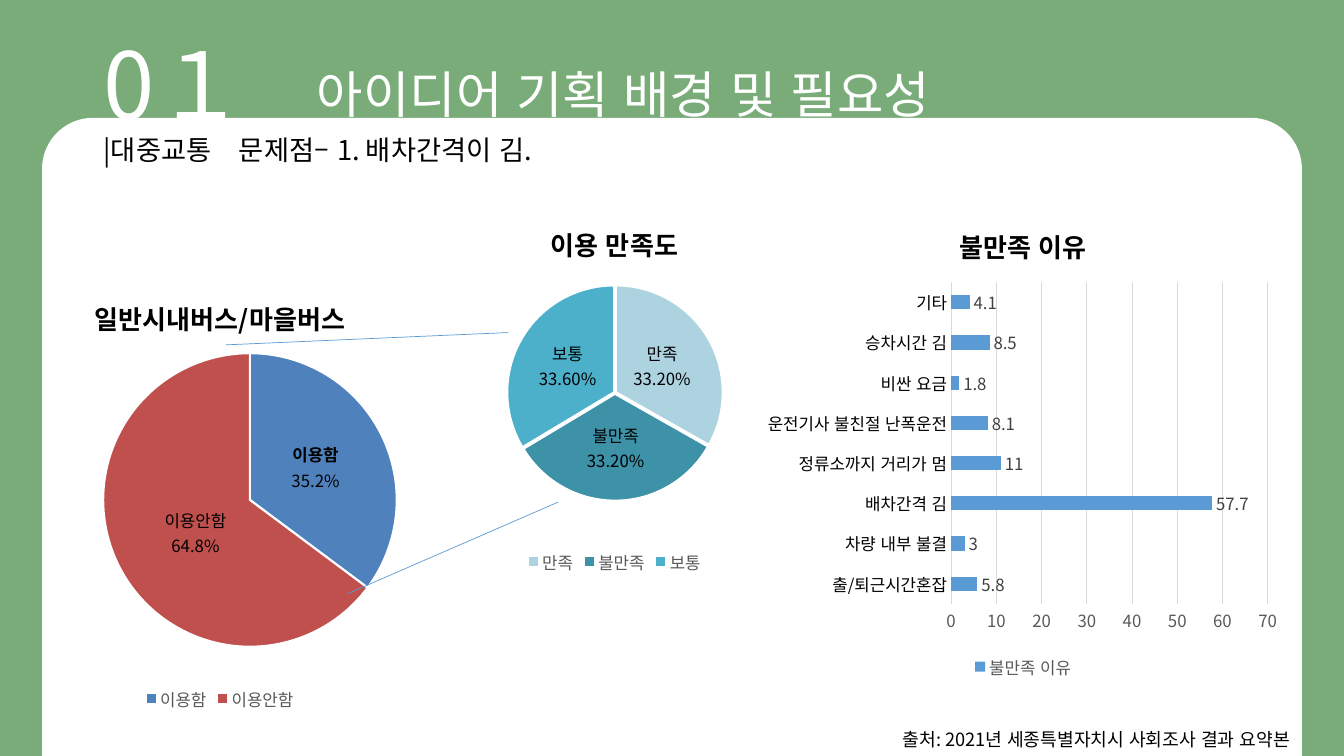
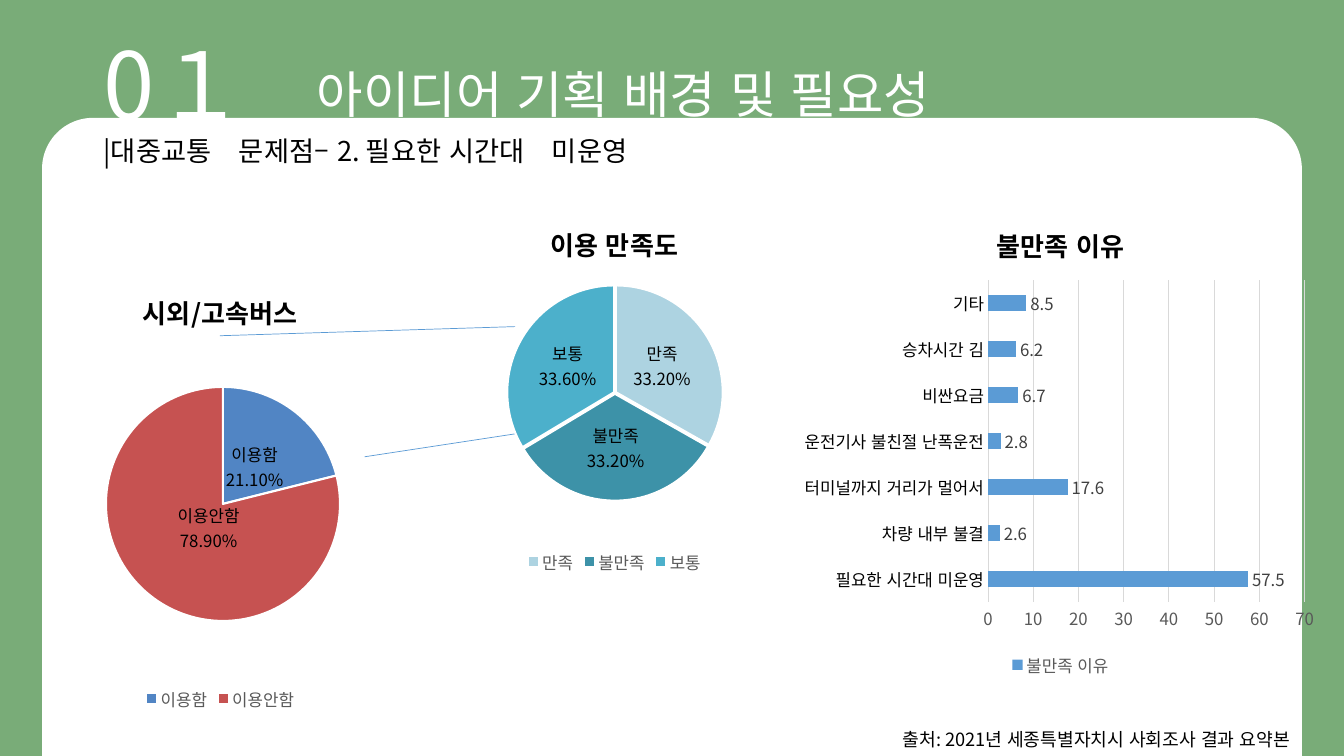
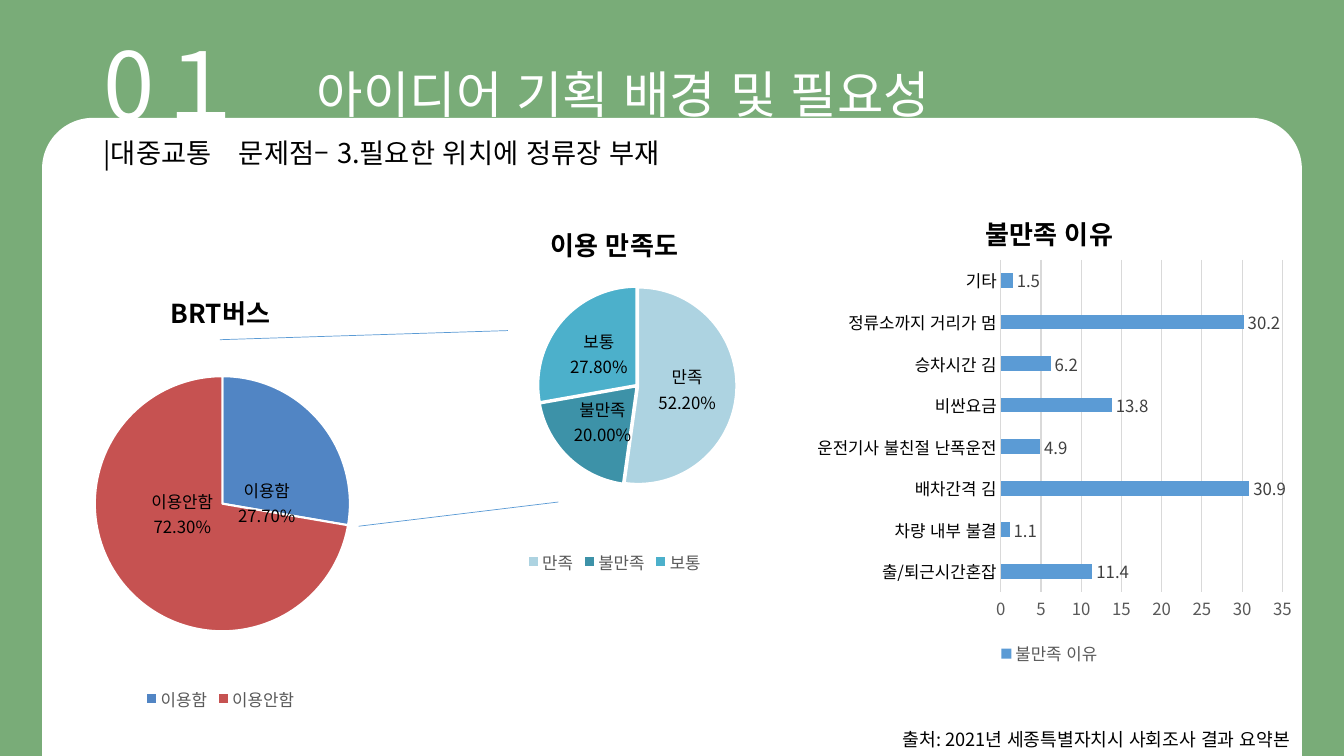
from dataclasses import dataclass
from typing import Optional

import lxml.etree
import pptx
import pptx.chart.data
import pptx.dml.color
import pptx.enum.chart
import pptx.enum.lang
import pptx.enum.shapes
import pptx.enum.text
import pptx.oxml.ns
import pptx.util

Cm = pptx.util.Cm
Pt = pptx.util.Pt
qn = pptx.oxml.ns.qn


# Theme
@dataclass(frozen=True)
class Theme:
    font: str = "Noto Sans CJK KR"
    green: str = "79AC78"
    white: str = "FFFFFF"
    black: str = "000000"
    blue: str = "5B9BD5"
    grid: str = "D9D9D9"
    muted: str = "595959"
    label: str = "404040"
    satisfaction: tuple[str, ...] = ("ADD3E1", "3D92A8", "4CB0CB")
    number_size: float = 66
    title_size: float = 36
    subtitle_size: float = 19.5
    chart_title_size: float = 18.6
    source_size: float = 13
    chart_size: float = 12


THEME = Theme()


# Slide content, with lengths in centimetres
@dataclass(frozen=True)
class Box:
    left: float
    top: float
    width: float
    height: float

    def lengths(self) -> tuple[int, int, int, int]:
        return Cm(self.left), Cm(self.top), Cm(self.width), Cm(self.height)


@dataclass(frozen=True)
class Slice:
    name: str
    value: float
    color: str
    nudge: Optional[tuple[float, float]] = None
    bold: bool = False


@dataclass(frozen=True)
class Pie:
    title: str
    frame: Box
    plot: Box
    slices: tuple[Slice, ...]
    decimals: int = 2
    number_format: str = "0.00%"
    explosion: int = 0


@dataclass(frozen=True)
class Bars:
    frame: Box
    plot: Box
    values: dict[str, float]


@dataclass(frozen=True)
class Line:
    start: tuple[float, float]
    end: tuple[float, float]


@dataclass(frozen=True)
class Problem:
    subtitle: str
    subtitle_top: float
    usage: Pie
    lines: tuple[Line, Line]
    satisfaction: Pie
    reasons: Bars


def satisfaction_pie(plot: Box, *values: float) -> Pie:
    names = ("만족", "불만족", "보통")
    slices = tuple(map(Slice, names, values, THEME.satisfaction))
    return Pie("이용 만족도", Box(7.14, 5.16, 16.69, 9.42), plot, slices, explosion=1)


USAGE_FRAME = Box(0.08, 6.83, 10.95, 11.2)
SATISFACTION_PLOT = Box(12.78, 7.18, 5.44, 5.44)

PROBLEMS = (
    Problem(
        "|대중교통　문제점– 1. 배차간격이 김.", 2.85,
        Pie("일반시내버스/마을버스", Box(-1.47, 6.98, 14.02, 11.05), Box(2.6, 8.9, 7.4, 7.4),
            (Slice("이용함", 0.352, "4F81BD", bold=True),
             Slice("이용안함", 0.648, "C0504D", (0.02, 0))),
            decimals=1, number_format="General"),
        (Line((5.69, 8.69), (12.8, 8.38)), Line((8.76, 14.96), (14.07, 12.65))),
        satisfaction_pie(SATISFACTION_PLOT, 0.332, 0.332, 0.336),
        Bars(Box(19.13, 5.16, 13.31, 12.06), Box(23.97, 7.11, 7.98, 8.11),
             {"출/퇴근시간혼잡": 5.8, "차량 내부 불결": 3, "배차간격 김": 57.7,
              "정류소까지 거리가 멈": 11, "운전기사 불친절 난폭운전": 8.1,
              "비싼 요금": 1.8, "승차시간 김": 8.5, "기타": 4.1}),
    ),
    Problem(
        "|대중교통　문제점– 2. 필요한 시간대　미운영", 2.89,
        Pie("시외/고속버스", USAGE_FRAME, Box(2.67, 9.75, 5.9, 5.9),
            (Slice("이용함", 0.211, "5185C4", (-0.01, 0.02)),
             Slice("이용안함", 0.789, "C65251", (0.05, -0.05)))),
        (Line((5.54, 8.46), (12.98, 8.23)), Line((9.19, 11.51), (13.72, 10.82))),
        satisfaction_pie(SATISFACTION_PLOT, 0.332, 0.332, 0.336),
        Bars(Box(20.07, 5.11, 13.31, 12.06), Box(24.9, 7.06, 7.98, 8.11),
             {"필요한 시간대 미운영": 57.5, "차량 내부 불결": 2.6,
              "터미널까지 거리가 멀어서": 17.6, "운전기사 불친절 난폭운전": 2.8,
              "비싼요금": 6.7, "승차시간 김": 6.2, "기타": 8.5}),
    ),
    Problem(
        "|대중교통　문제점– 3.필요한 위치에 정류장 부재", 2.94,
        Pie("BRT버스", USAGE_FRAME, Box(2.39, 9.48, 6.43, 6.43),
            (Slice("이용함", 0.277, "5185C4", (-0.01, 0.09)),
             Slice("이용안함", 0.723, "C65251", (0.02, -0.07)))),
        (Line((5.54, 8.56), (12.8, 8.33)), Line((9.04, 13.26), (14.07, 12.65))),
        satisfaction_pie(Box(13.56, 7.22, 5, 5), 0.522, 0.2, 0.278),
        Bars(Box(19.79, 4.83, 13.31, 12.06), Box(25.22, 6.55, 7.1, 8.37),
             {"출/퇴근시간혼잡": 11.4, "차량 내부 불결": 1.1, "배차간격 김": 30.9,
              "운전기사 불친절 난폭운전": 4.9, "비싼요금": 13.8, "승차시간 김": 6.2,
              "정류소까지 거리가 멈": 30.2, "기타": 1.5}),
    ),
)


# Text and format helpers
def rgb(color: str) -> pptx.dml.color.RGBColor:
    return pptx.dml.color.RGBColor.from_string(color)


def set_font(font, size: float, color: str, bold: bool = False) -> None:
    font.name = THEME.font
    font.size = Pt(size)
    font.bold = bold
    font.color.rgb = rgb(color)
    font.language_id = pptx.enum.lang.MSO_LANGUAGE_ID.KOREAN


def set_east_asian_font(element) -> None:
    """Give Hangul the same typeface as Latin text."""
    for latin in list(element.iter(qn("a:latin"))):
        east_asian = lxml.etree.Element(qn("a:ea"), typeface=latin.get("typeface"))
        latin.addnext(east_asian)


def write(shape, box: Box, text: str, size: float, color: str,
          line_spacing: Optional[float] = 0.9) -> None:
    shape.left, shape.top, shape.width, shape.height = box.lengths()
    frame = shape.text_frame
    frame.word_wrap = True
    frame.vertical_anchor = pptx.enum.text.MSO_ANCHOR.MIDDLE
    para = frame.paragraphs[0]
    para.text = text
    para.line_spacing = line_spacing
    set_font(para.font, size, color)


def add_text(page, box: Box, *style, **options):
    shape = page.shapes.add_textbox(*box.lengths())
    write(shape, box, *style, **options)
    return shape


# Chart helpers
def manual_layout(**parts) -> lxml.etree._Element:
    layout = lxml.etree.Element(qn("c:layout"))
    manual = lxml.etree.SubElement(layout, qn("c:manualLayout"))
    for tag, value in parts.items():
        lxml.etree.SubElement(manual, qn("c:" + tag), val=str(value))
    return layout


def place_plot(chart, frame: Box, plot: Box) -> None:
    area = chart.element.xpath(".//c:plotArea")[0]
    for old in area.findall(qn("c:layout")):
        area.remove(old)
    area.insert(0, manual_layout(
        layoutTarget="inner", xMode="edge", yMode="edge",
        x=(plot.left - frame.left) / frame.width,
        y=(plot.top - frame.top) / frame.height,
        w=plot.width / frame.width, h=plot.height / frame.height))


def add_chart(page, kind, frame: Box, plot: Box, title: str, series_name: str,
              values: dict[str, float]):
    data = pptx.chart.data.CategoryChartData()
    data.categories = list(values)
    data.add_series(series_name, list(values.values()))
    chart = page.shapes.add_chart(kind, *frame.lengths(), data).chart
    set_font(chart.font, THEME.chart_size, THEME.muted)
    chart.has_title = True
    para = chart.chart_title.text_frame.paragraphs[0]
    para.text = title
    set_font(para.font, THEME.chart_title_size, THEME.black, bold=True)
    chart.has_legend = True
    chart.legend.position = pptx.enum.chart.XL_LEGEND_POSITION.BOTTOM
    chart.legend.include_in_layout = False
    set_font(chart.legend.font, THEME.chart_size, THEME.muted)
    place_plot(chart, frame, plot)
    return chart


def label_series(series, position, number_format: str = "General"):
    labels = series.data_labels
    labels.show_value = True
    labels.number_format = number_format
    labels.number_format_is_linked = False
    labels.position = position
    set_font(labels.font, THEME.chart_size, THEME.label)
    return labels


def label_slice(point, part: Slice, decimals: int) -> None:
    label = point.data_label
    frame = label.text_frame
    frame.text = f"{part.name}\n{part.value:.{decimals}%}"
    for para, bold in zip(frame.paragraphs, (part.bold, False)):
        set_font(para.runs[0].font, THEME.chart_size, THEME.black, bold)
    label.position = pptx.enum.chart.XL_LABEL_POSITION.CENTER


def add_pie(page, pie: Pie) -> None:
    values = {part.name: part.value for part in pie.slices}
    chart = add_chart(page, pptx.enum.chart.XL_CHART_TYPE.PIE, pie.frame, pie.plot,
                      pie.title, "Series 1", values)
    series = chart.plots[0].series[0]
    labels = label_series(series, pptx.enum.chart.XL_LABEL_POSITION.CENTER, pie.number_format)
    labels.show_category_name = True
    for index, part in enumerate(pie.slices):
        point = series.points[index]
        point.format.fill.solid()
        point.format.fill.fore_color.rgb = rgb(part.color)
        point.format.line.color.rgb = rgb(THEME.white)
        point.format.line.width = Pt(1.5)
        label_slice(point, part, pie.decimals)
        if part.nudge:
            x, y = part.nudge
            index_tag = chart.element.xpath(f".//c:dLbl/c:idx[@val='{index}']")[0]
            index_tag.addnext(manual_layout(x=x, y=y))
    for flag in chart.element.xpath(".//c:dLbl/c:showCatName"):
        flag.set("val", "1")
    if pie.explosion:
        explosion = lxml.etree.Element(qn("c:explosion"), val=str(pie.explosion))
        chart.element.xpath(".//c:ser/c:tx")[0].addnext(explosion)
    set_east_asian_font(chart.element)


def add_bars(page, bars: Bars) -> None:
    name = "불만족 이유"
    chart = add_chart(page, pptx.enum.chart.XL_CHART_TYPE.BAR_CLUSTERED, bars.frame,
                      bars.plot, name, name, bars.values)
    plot = chart.plots[0]
    plot.gap_width = 182
    plot.vary_by_categories = False
    series = plot.series[0]
    series.format.fill.solid()
    series.format.fill.fore_color.rgb = rgb(THEME.blue)
    label_series(series, pptx.enum.chart.XL_LABEL_POSITION.OUTSIDE_END)

    for axis, color in ((chart.category_axis, THEME.black), (chart.value_axis, THEME.muted)):
        axis.major_tick_mark = axis.minor_tick_mark = pptx.enum.chart.XL_TICK_MARK.NONE
        set_font(axis.tick_labels.font, THEME.chart_size, color)
    chart.value_axis.format.line.fill.background()
    chart.value_axis.has_major_gridlines = True
    for line in (chart.category_axis.format.line, chart.value_axis.major_gridlines.format.line):
        line.color.rgb = rgb(THEME.grid)
        line.width = Pt(0.75)
    set_east_asian_font(chart.element)


# Page parts
def add_line(page, line: Line) -> None:
    ends = [Cm(value) for value in (*line.start, *line.end)]
    connector = page.shapes.add_connector(pptx.enum.shapes.MSO_CONNECTOR.STRAIGHT, *ends)
    connector.line.color.rgb = rgb(THEME.blue)
    connector.line.width = Pt(0.5)
    properties = connector.element.find(qn("p:spPr"))
    lxml.etree.SubElement(properties, qn("a:effectLst"))


def decorate_layout(layout, page) -> None:
    """Put the green ground and the white panel on the shared layout."""
    layout.background.fill.solid()
    layout.background.fill.fore_color.rgb = rgb(THEME.green)
    panel = page.shapes.add_shape(pptx.enum.shapes.MSO_SHAPE.ROUND_2_SAME_RECTANGLE,
                                  *Box(1.06, 2.97, 31.75, 16.08).lengths())
    panel.adjustments[0] = 0.08
    panel.shadow.inherit = False
    panel.fill.solid()
    panel.fill.fore_color.rgb = rgb(THEME.white)
    panel.line.fill.background()
    layout.shapes.element.insert(2, panel.element)


def fill_page(page, problem: Problem) -> None:
    title = page.shapes.title
    write(title, Box(0.51, 1.44, 30.4, 2.03), "아이디어 기획 배경 및 필요성",
          THEME.title_size, THEME.white)
    title.text_frame.paragraphs[0].alignment = pptx.enum.text.PP_ALIGN.CENTER
    add_text(page, Box(2.36, 0.53, 5.94, 3.45), "0１", THEME.number_size, THEME.white)
    add_text(page, Box(2.36, problem.subtitle_top, 27.89, 1.93), problem.subtitle,
             THEME.subtitle_size, THEME.black)
    add_pie(page, problem.usage)
    for line in problem.lines:
        add_line(page, line)
    add_pie(page, problem.satisfaction)
    add_bars(page, problem.reasons)
    source = add_text(page, Box(22.5, 18.22, 10.57, 0.81),
                      "출처: 2021년 세종특별자치시 사회조사 결과 요약본",
                      THEME.source_size, THEME.black, line_spacing=None)
    source.text_frame.word_wrap = False
    set_east_asian_font(page.shapes.element)


def main() -> None:
    deck = pptx.Presentation()
    deck.slide_width, deck.slide_height = Cm(33.87), Cm(19.05)
    layout = deck.slide_layouts[5]
    pages = [deck.slides.add_slide(layout) for _ in PROBLEMS]
    decorate_layout(layout, pages[0])
    for page, problem in zip(pages, PROBLEMS):
        fill_page(page, problem)
    deck.save("out.pptx")


if __name__ == "__main__":
    main()
